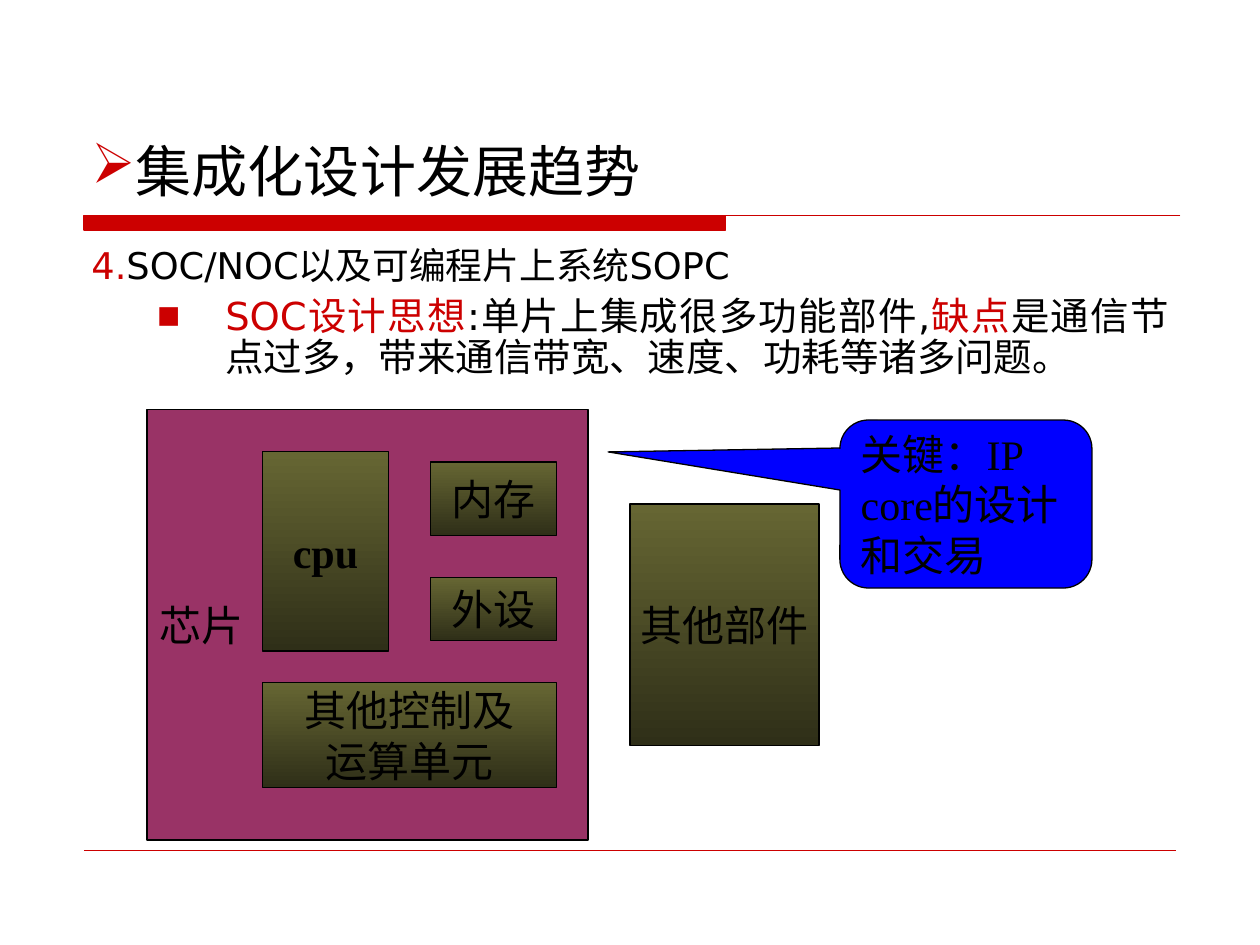
from lxml.etree import SubElement
from pptx import Presentation
from pptx.dml.color import RGBColor as Rgb
from pptx.enum.shapes import MSO_CONNECTOR as Conn, MSO_SHAPE as Shape
from pptx.enum.text import MSO_ANCHOR as Anchor, MSO_AUTO_SIZE as Auto, PP_ALIGN as Align
from pptx.oxml.ns import qn
from pptx.util import Pt

HEX = {"red": "CC0000", "black": "000000", "plum": "993366", "blue": "0000FF",
       "olive": "666633", "dark": "2F2F18"}
RGB = {name: Rgb.from_string(code) for name, code in HEX.items()}
SANS, SERIF = "DejaVu Sans", "Times New Roman"


def add_run(para, text, **look):
    run = para.add_run()
    run.text = text
    run.font.color.rgb = RGB[look.pop("color", "black")]
    for key, value in look.items():
        setattr(run.font, key, value)


def set_bullet(para, char, left, hang):
    """Give a paragraph its indents and a red bullet, or none if char is empty."""
    props = para._p.get_or_add_pPr()
    props.set("marL", str(Pt(left)))
    props.set("indent", str(-Pt(hang)))
    if char:
        tint = SubElement(props, qn("a:buClr"))
        SubElement(tint, qn("a:srgbClr"), val=HEX["red"])
        SubElement(props, qn("a:buChar"), char=char)
    else:
        SubElement(props, qn("a:buNone"))


deck = Presentation()
deck.slide_width, deck.slide_height = Pt(720), Pt(540)
slide = deck.slides.add_slide(deck.slide_layouts[1])
shapes = slide.shapes
title, body = slide.placeholders

# Rules above and below the content
pen = shapes.build_freeform(Pt(48), Pt(123))
pen.add_line_segments([(Pt(x), Pt(y)) for x, y in
                       [(414.5, 123), (414.5, 131.5), (48, 131.5)]], close=True)
pen.move_to(Pt(48), Pt(123))
pen.add_line_segments([(Pt(674.5), Pt(123))], close=False)
bar = pen.convert_to_shape()
bar.shadow.inherit = False
bar.fill.solid()
bar.fill.fore_color.rgb = RGB["red"]
foot = shapes.add_connector(Conn.STRAIGHT, Pt(48), Pt(486), Pt(672), Pt(486))
SubElement(foot._element.spPr, qn("a:effectLst"))
for rule, width in [(bar, 0.75), (foot, 0.25)]:
    rule.line.color.rgb = RGB["red"]
    rule.line.width = Pt(width)

# Title and list
for box, place, anchor in [(title, (45, 24, 630, 96), Anchor.BOTTOM),
                           (body, (45, 138, 630, 84), Anchor.TOP)]:
    box.left, box.top, box.width, box.height = map(Pt, place)
    box.text_frame.auto_size = Auto.NONE
    box.text_frame.vertical_anchor = anchor

head = title.text_frame.paragraphs[0]
set_bullet(head, "➢", 0, 0)
head.alignment = Align.LEFT
add_run(head, "集成化设计发展趋势", name=SANS, size=Pt(32))

items = [
    (0, "", 45, 45, 0, 21, [("4.", "red"), ("SOC/NOC以及可编程片上系统SOPC", "black")]),
    (1, "■", 76.5, 39, 5.5, 22, [
        ("SOC设计思想", "red"), (":单片上集成很多功能部件,", "black"), ("缺点", "red"),
        ("是通信节点过多，带来通信带宽、速度、功耗等诸多问题。", "black")]),
]
frame = body.text_frame
for level, char, left, hang, gap, size, runs in items:
    para = frame.add_paragraph() if level else frame.paragraphs[0]
    set_bullet(para, char, left, hang)
    form = {"level": level, "alignment": Align.JUSTIFY, "line_spacing": 0.9,
            "space_before": Pt(gap)}
    for key, value in form.items():
        setattr(para, key, value)
    for text, color in runs:
        add_run(para, text, name=SANS, size=Pt(size), color=color)

# Chip diagram: place, lines of text, plain fill (None for the olive gradient)
parts = [
    ((84, 234, 252, 246), ["芯片"], "plum"),
    ((150, 258, 72, 114), ["cpu"], None),
    ((246, 264, 72, 42), ["内存"], None),
    ((246, 330, 72, 36), ["外设"], None),
    ((150, 390, 168, 60), ["其他控制及", "运算单元"], None),
    ((360, 288, 108, 138), ["其他部件"], None),
    ((480, 240, 144, 96), ["关键：IP core的设计和交易"], "blue"),
]
for place, lines, color in parts:
    call = color == "blue"
    kind = Shape.ROUNDED_RECTANGULAR_CALLOUT if call else Shape.RECTANGLE
    part = shapes.add_shape(kind, *map(Pt, place))
    part.shadow.inherit = False
    part.line.color.rgb = RGB["black"]
    part.line.width = Pt(0.75)
    if call:
        for i, value in enumerate([-1.42, -0.31, 0.17]):
            part.adjustments[i] = value
    if color:
        part.fill.solid()
        part.fill.fore_color.rgb = RGB[color]
    else:
        part.fill.gradient()
        part.fill.gradient_angle = 270
        for stop, shade in zip(part.fill.gradient_stops, ["olive", "dark"]):
            stop.color.rgb = RGB[shade]
    frame = part.text_frame
    frame.word_wrap = call
    frame.vertical_anchor = Anchor.MIDDLE
    for i, text in enumerate(lines):
        para = frame.add_paragraph() if i else frame.paragraphs[0]
        para.alignment = Align.LEFT if color else Align.CENTER
        add_run(para, text, name=SERIF, size=Pt(24), bold=text == "cpu")

deck.save("out.pptx")
